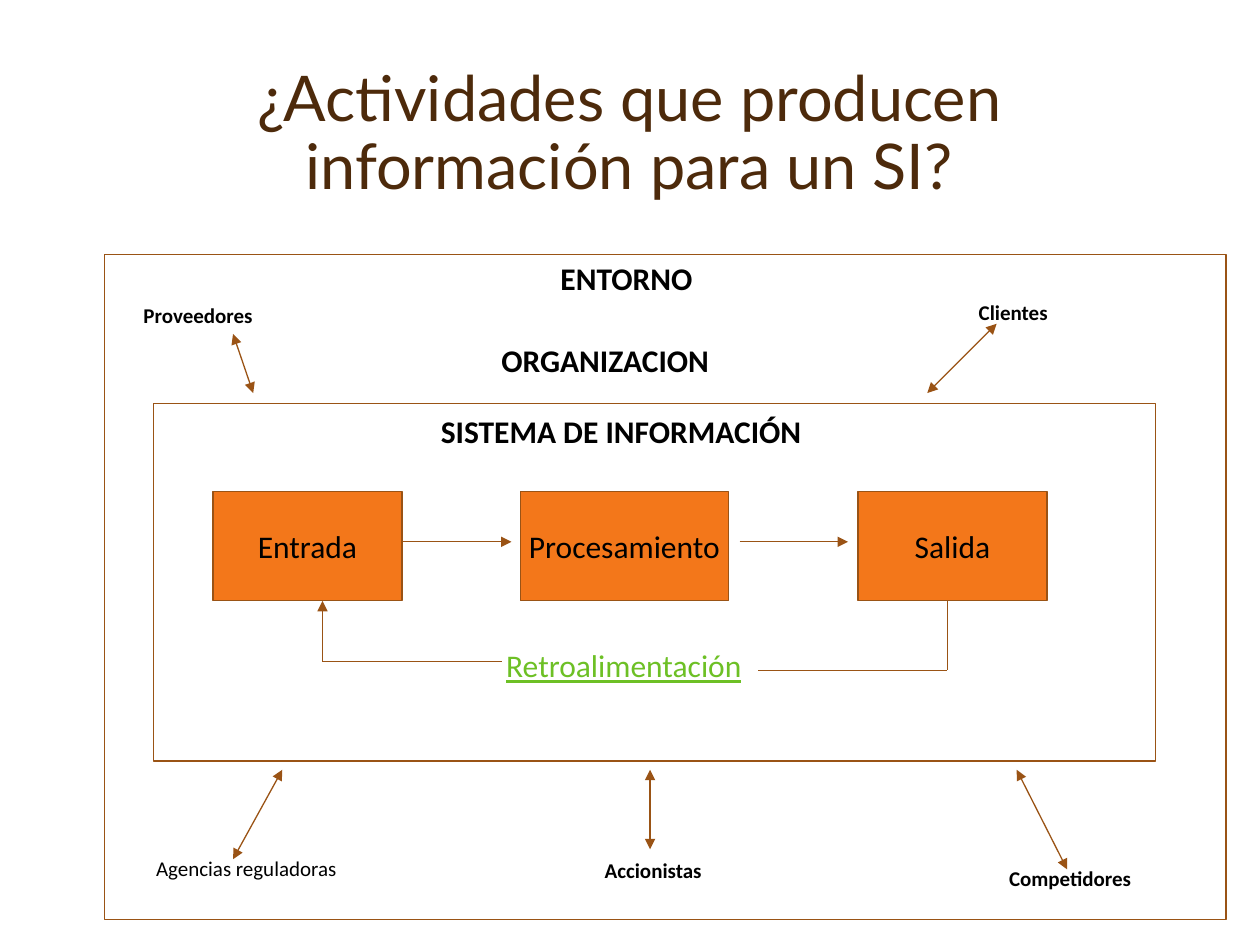
from dataclasses import dataclass

from lxml import etree
from pptx import Presentation
from pptx.dml.color import RGBColor
from pptx.enum.shapes import MSO_CONNECTOR, MSO_SHAPE
from pptx.enum.text import MSO_ANCHOR, MSO_AUTO_SIZE, PP_ALIGN
from pptx.oxml.ns import qn
from pptx.util import Pt

RECTANGLE = MSO_SHAPE.RECTANGLE
STRAIGHT = MSO_CONNECTOR.STRAIGHT
CENTER, LEFT = PP_ALIGN.CENTER, PP_ALIGN.LEFT
TOP, MIDDLE, BOTTOM = MSO_ANCHOR.TOP, MSO_ANCHOR.MIDDLE, MSO_ANCHOR.BOTTOM

COLORS = {"title": "4D2A0B", "text": "000000", "feedback": "6DC025",
          "step": "F3771A", "line": "9A5315"}
LINE_WIDTH = 0.75
STEP_TOP, STEP_HEIGHT = 280.8, 62.6
STEP_BOTTOM = STEP_TOP + STEP_HEIGHT
FLOW_Y = 309.6


@dataclass
class Frame:
    left: float
    top: float
    width: float
    height: float


@dataclass
class Step:
    text: str
    left: float
    width: float


@dataclass
class Label:
    text: str
    left: float
    top: float
    width: float
    size: float = 12
    bold: bool = True
    color: str = "text"
    underline: bool = False

    @property
    def height(self) -> float:
        return 29.1 if self.size == 18 else 21.8


@dataclass
class Line:
    x1: float
    y1: float
    x2: float
    y2: float
    ends: tuple[str, ...] = ()


def rgb(name: str) -> RGBColor:
    return RGBColor.from_string(COLORS[name])


def write(shape, text: str, size: float, color: str, font: str = "Calibri",
          align=LEFT, anchor=TOP, wrap: bool = False):
    frame = shape.text_frame
    frame.word_wrap = wrap
    frame.vertical_anchor = anchor
    para = frame.paragraphs[0]
    para.alignment = align
    span = para.add_run()
    span.text = text
    span.font.name = font
    span.font.size = Pt(size)
    span.font.color.rgb = rgb(color)
    return para, span


def add_rectangle(page, frame: Frame, fill: str | None = None):
    shape = page.shapes.add_shape(RECTANGLE, Pt(frame.left), Pt(frame.top),
                                  Pt(frame.width), Pt(frame.height))
    shape.shadow.inherit = False
    if fill:
        shape.fill.solid()
        shape.fill.fore_color.rgb = rgb(fill)
    else:
        shape.fill.background()
    shape.line.color.rgb = rgb("line")
    shape.line.width = Pt(LINE_WIDTH)
    return shape


def add_step(page, step: Step) -> None:
    frame = Frame(step.left, STEP_TOP, step.width, STEP_HEIGHT)
    write(add_rectangle(page, frame, "step"), step.text, 18, "text",
          align=CENTER, anchor=MIDDLE)


def add_label(page, label: Label) -> None:
    box = page.shapes.add_textbox(Pt(label.left), Pt(label.top),
                                  Pt(label.width), Pt(label.height))
    box.text_frame.auto_size = MSO_AUTO_SIZE.SHAPE_TO_FIT_TEXT
    _, span = write(box, label.text, label.size, label.color)
    span.font.bold = label.bold
    span.font.underline = label.underline


def add_line(page, line: Line) -> None:
    connector = page.shapes.add_connector(STRAIGHT, Pt(line.x1), Pt(line.y1),
                                          Pt(line.x2), Pt(line.y2))
    connector.line.color.rgb = rgb("line")
    connector.line.width = Pt(LINE_WIDTH)
    outline = connector.line._get_or_add_ln()
    for end in line.ends:
        etree.SubElement(outline, qn(f"a:{end}"), type="triangle")
    etree.SubElement(connector._element.spPr, qn("a:effectLst"))


FORWARD = ("tailEnd",)
BOTH = ("headEnd", "tailEnd")

FRAMES = [Frame(59.8, 145.4, 640.8, 380.2), Frame(87.8, 230.4, 572.4, 204.5)]
STEPS = [
    Step("Entrada", 121.7, 108),
    Step("Procesamiento", 297.4, 118.8),
    Step("Salida", 490.3, 108),
]
LABELS = [
    Label("ENTORNO", 313.2, 144.7, 90.7, 18),
    Label("ORGANIZACION", 279.4, 191.5, 133.9, 18),
    Label("SISTEMA DE INFORMACIÓN", 244.8, 231.8, 222.5, 18),
    Label("Retroalimentación", 282.2, 365.8, 157.7, 18, False, "feedback", True),
    Label("Proveedores", 74.9, 169.2, 77.8),
    Label("Clientes", 552.2, 167.8, 54.7),
    Label("Agencias reguladoras", 82.1, 485.3, 118.8, bold=False),
    Label("Accionistas", 338.4, 486.7, 70.6),
    Label("Competidores", 569.5, 491, 85),
]
LINES = [
    # Flow between the steps
    Line(229.7, FLOW_Y, 292.3, FLOW_Y, FORWARD),
    Line(422.6, FLOW_Y, 484.6, FLOW_Y, FORWARD),
    # Exchange with the surroundings
    Line(133.2, 190.8, 144.7, 224.6, BOTH),
    Line(569.5, 185, 529.9, 224.6, BOTH),
    Line(161.3, 439.9, 133.2, 491, BOTH),
    Line(371.5, 439.9, 371.5, 485.3, BOTH),
    Line(581, 439.9, 609.8, 496.8, BOTH),
    # Feedback path
    Line(541.4, STEP_BOTTOM, 541.4, 383),
    Line(433.4, 383, 541.4, 383),
    Line(286.6, 378, 184.3, 378),
    Line(184.3, 378, 184.3, STEP_BOTTOM, FORWARD),
]

deck = Presentation()
deck.slide_width, deck.slide_height = Pt(720), Pt(540)
page = deck.slides.add_slide(deck.slide_layouts[6])

# Title
title = page.shapes.add_textbox(Pt(62.6), Pt(23.8), Pt(594), Pt(95.8))
title_para, _ = write(title, "¿Actividades que producen información para un SI?",
                      36, "title", "Lato", CENTER, BOTTOM, True)
title_para.line_spacing = 0.9

# Diagram
for draw, items in ((add_rectangle, FRAMES), (add_step, STEPS),
                    (add_label, LABELS), (add_line, LINES)):
    for item in items:
        draw(page, item)

deck.save("out.pptx")
